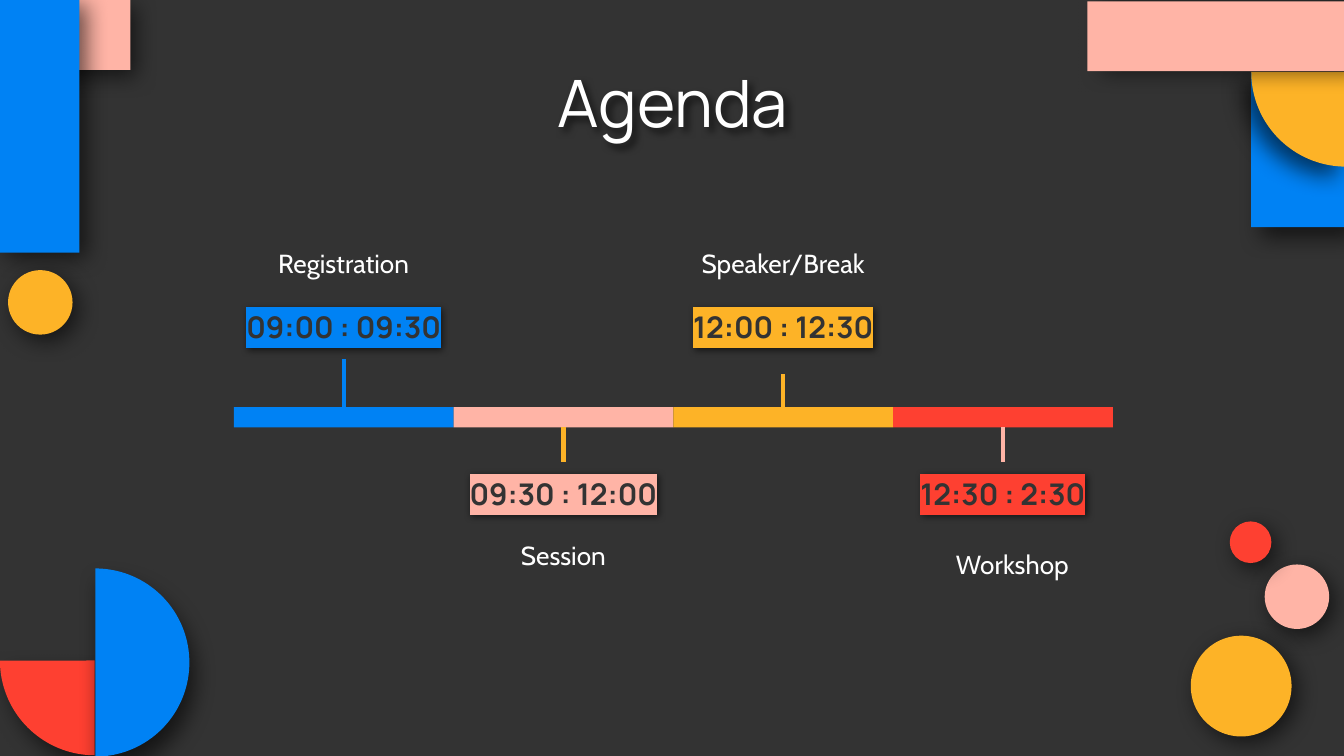
"""Build an agenda slide: a four-part timeline framed by geometric decorations."""
from dataclasses import dataclass

import lxml.etree
import pptx
import pptx.dml.color
import pptx.enum.shapes
import pptx.enum.text
import pptx.oxml.ns
import pptx.util
from pptx.util import Inches

SHAPE = pptx.enum.shapes.MSO_SHAPE
ANCHOR = pptx.enum.text.MSO_ANCHOR
TOP, BOTTOM = 0, 2
PIE_UNITS_PER_DEGREE = 0.6


@dataclass(frozen=True)
class Theme:
    """Colours, fonts, type sizes and shadow blurs."""
    dark: str = "333333"
    white: str = "FFFFFF"
    blue: str = "0082F4"
    pink: str = "FFB4A6"
    yellow: str = "FDB327"
    red: str = "FE4031"
    heading_font: str = "Manrope"
    label_font: str = "Cabin"
    title_size: int = 35
    time_size: int = 16
    label_size: int = 14
    line_width: float = 2.25
    shape_blur: float = 12.4
    text_blur: float = 4


THEME = Theme()


@dataclass(frozen=True)
class Decoration:
    """A shadowed shape; angles bound a pie in degrees."""
    kind: int
    left: float
    top: float
    width: float
    height: float
    color: str
    shadow_distance: float = 4.5
    shadow_angle: int = 50
    angles: tuple[int, ...] = ()


@dataclass(frozen=True)
class Session:
    """One timeline part with its time box and label."""
    label: str
    time: str
    color: str
    line_color: str
    above: bool
    time_height: float
    label_top: float
    label_height: float
    label_width: float = 2.1


DECORATIONS = (
    Decoration(SHAPE.RECTANGLE, 0.38, 0, 0.59, 0.52, THEME.pink),
    Decoration(SHAPE.RECTANGLE, 0, 0, 0.59, 1.88, THEME.blue, shadow_angle=33),
    Decoration(SHAPE.OVAL, 0.06, 2.01, 0.48, 0.48, THEME.yellow),
    Decoration(SHAPE.OVAL, 9.41, 4.2, 0.48, 0.48, THEME.pink),
    Decoration(SHAPE.OVAL, 8.86, 4.73, 0.75, 0.75, THEME.yellow),
    Decoration(SHAPE.OVAL, 9.15, 3.88, 0.31, 0.31, THEME.red),
    Decoration(SHAPE.PIE, 0, 4.21, 1.41, 1.41, THEME.red, 7.5, 50, (90, 180)),
    Decoration(SHAPE.RECTANGLE, 9.31, 0.54, 0.7, 1.15, THEME.blue, 7.5),
    Decoration(SHAPE.PIE, 9.31, -0.17, 1.41, 1.41, THEME.yellow, 7.5, 134, (90, 180)),
    Decoration(SHAPE.PIE, 0.01, 4.23, 1.4, 1.4, THEME.blue, 7.5, 68, (270, 90)),
    Decoration(SHAPE.RECTANGLE, 8.09, 0.01, 1.92, 0.52, THEME.pink, 7.5, 0),
)

SESSIONS = (
    Session("Registration", "09:00 : 09:30", THEME.blue, THEME.blue, True, 0.47, 1.69, 0.53),
    Session("Session", "09:30 : 12:00", THEME.pink, THEME.yellow, False, 0.58, 3.91, 0.44),
    Session("Speaker/Break", "12:00 : 12:30", THEME.yellow, THEME.yellow, True, 0.58, 1.69, 0.53),
    Session("Workshop", "12:30 : 2:30", THEME.red, THEME.pink, False, 0.58, 3.93, 0.53, 2.24),
)

BARS_LEFT, BARS_RIGHT, BAR_TOP, BAR_HEIGHT = 1.74, 8.28, 3.03, 0.15
TIME_WIDTH, TIME_TOP_ABOVE, TIME_TOP_BELOW = 2.1, 2.2, 3.44


def rgb(color: str) -> pptx.dml.color.RGBColor:
    """Convert a hex string to a colour."""
    return pptx.dml.color.RGBColor.from_string(color)


def add_child(parent, tag: str, **attributes: str):
    """Append a DrawingML element."""
    return lxml.etree.SubElement(parent, pptx.oxml.ns.qn(tag), attributes)


def add_shadow(shape, blur: float, distance: float, angle: int) -> None:
    """Give a shape a soft black shadow."""
    shape.shadow.inherit = False
    effects = shape._element.spPr.find(pptx.oxml.ns.qn("a:effectLst"))
    outer = add_child(effects, "a:outerShdw", blurRad=str(pptx.util.Pt(blur)),
                      dist=str(pptx.util.Pt(distance)), dir=str(angle * 60000),
                      algn="bl", rotWithShape="0")
    black = add_child(outer, "a:srgbClr", val="000000")
    add_child(black, "a:alpha", val="59000")


def add_filled_shape(slide, kind: int, left: float, top: float, width: float,
                     height: float, color: str):
    """Add a flat shape without outline or shadow."""
    shape = slide.shapes.add_shape(kind, Inches(left), Inches(top), Inches(width), Inches(height))
    shape.fill.solid()
    shape.fill.fore_color.rgb = rgb(color)
    shape.line.fill.background()
    shape.shadow.inherit = False
    return shape


def add_decoration(slide, item: Decoration) -> None:
    """Draw one decoration."""
    shape = add_filled_shape(slide, item.kind, item.left, item.top, item.width,
                             item.height, item.color)
    for index, angle in enumerate(item.angles):
        shape.adjustments[index] = angle * PIE_UNITS_PER_DEGREE
    add_shadow(shape, THEME.shape_blur, item.shadow_distance, item.shadow_angle)


def write_text(shape, text: str, font: str, size: int, color: str, bold: bool = False,
               anchor: ANCHOR = ANCHOR.MIDDLE):
    """Write one centred paragraph and return its run."""
    frame = shape.text_frame
    frame.word_wrap = True
    frame.auto_size = pptx.enum.text.MSO_AUTO_SIZE.NONE
    frame.vertical_anchor = anchor
    frame.margin_left = frame.margin_right = Inches(0.1)
    frame.margin_top = frame.margin_bottom = Inches(0.1)
    paragraph = frame.paragraphs[0]
    paragraph.alignment = pptx.enum.text.PP_ALIGN.CENTER
    run = paragraph.add_run()
    run.text = text
    paragraph.font.name = font
    paragraph.font.size = pptx.util.Pt(size)
    paragraph.font.bold = bold
    paragraph.font.color.rgb = rgb(color)
    return run


def add_title(slide, text: str) -> None:
    """Place and format the slide title."""
    title = slide.shapes.title
    title.left, title.top = Inches(0.79), Inches(0.44)
    title.width, title.height = Inches(8.43), Inches(0.63)
    write_text(title, text, THEME.heading_font, THEME.title_size, THEME.white)
    add_shadow(title, THEME.text_blur, 3, 50)


def add_session(slide, session: Session, bar, center: float) -> None:
    """Draw the time, label and connector of one timeline part."""
    left = Inches(center - TIME_WIDTH / 2)
    time_top = TIME_TOP_ABOVE if session.above else TIME_TOP_BELOW
    time_box = slide.shapes.add_textbox(left, Inches(time_top), Inches(TIME_WIDTH),
                                        Inches(session.time_height))
    run = write_text(time_box, session.time, THEME.heading_font, THEME.time_size,
                     THEME.dark, True, ANCHOR.TOP)
    highlight = add_child(run._r.get_or_add_rPr(), "a:highlight")
    add_child(highlight, "a:srgbClr", val=session.color)
    add_shadow(time_box, THEME.text_blur, 1.5, 50)

    label_box = slide.shapes.add_textbox(left, Inches(session.label_top),
                                         Inches(session.label_width),
                                         Inches(session.label_height))
    write_text(label_box, session.label, THEME.label_font, THEME.label_size, THEME.white)

    connector = slide.shapes.add_connector(pptx.enum.shapes.MSO_CONNECTOR.STRAIGHT, 0, 0, 0, 0)
    connector.begin_connect(bar, TOP if session.above else BOTTOM)
    connector.end_connect(time_box, BOTTOM if session.above else TOP)
    connector.line.color.rgb = rgb(session.line_color)
    connector.line.width = pptx.util.Pt(THEME.line_width)
    add_child(connector._element.spPr, "a:effectLst")


def main() -> None:
    """Build and save the presentation."""
    presentation = pptx.Presentation()
    presentation.slide_width = Inches(10)
    presentation.slide_height = Inches(10 * 9 / 16)
    slide = presentation.slides.add_slide(presentation.slide_layouts.get_by_name("Title Only"))
    slide.background.fill.solid()
    slide.background.fill.fore_color.rgb = rgb(THEME.dark)
    for item in DECORATIONS:
        add_decoration(slide, item)
    add_title(slide, "Agenda")
    bar_width = (BARS_RIGHT - BARS_LEFT) / len(SESSIONS)
    for index, session in enumerate(SESSIONS):
        left = BARS_LEFT + index * bar_width
        bar = add_filled_shape(slide, SHAPE.RECTANGLE, left, BAR_TOP, bar_width,
                               BAR_HEIGHT, session.color)
        add_session(slide, session, bar, left + bar_width / 2)
    presentation.save("out.pptx")


if __name__ == "__main__":
    main()
